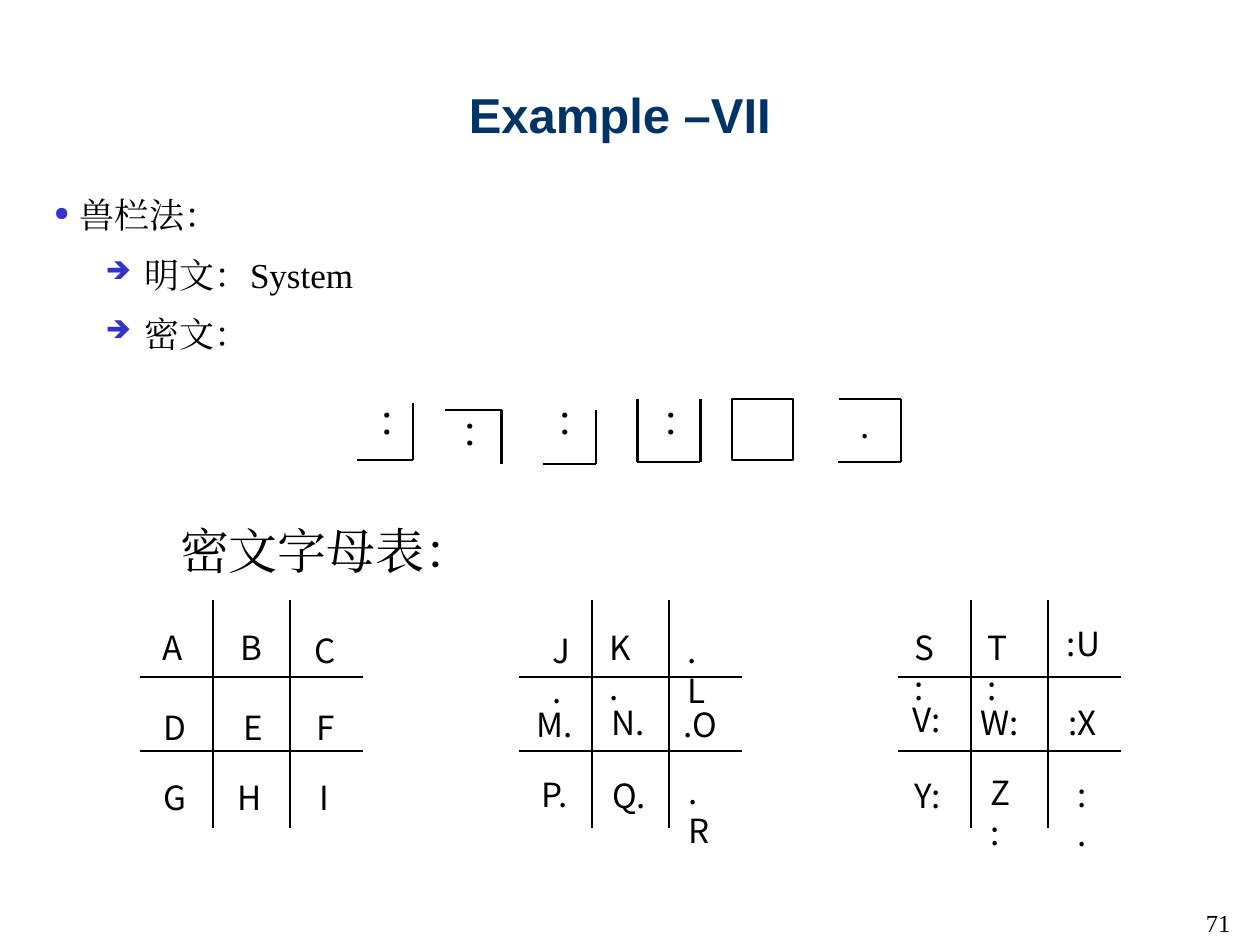
from itertools import pairwise

from lxml import etree
from pptx import Presentation
from pptx.dml.color import RGBColor
from pptx.enum.shapes import MSO_CONNECTOR, MSO_SHAPE
from pptx.enum.text import MSO_ANCHOR, PP_ALIGN
from pptx.oxml.ns import qn
from pptx.util import Cm, Pt

STRAIGHT, RECT = MSO_CONNECTOR.STRAIGHT, MSO_SHAPE.RECTANGLE
TOP, MIDDLE = MSO_ANCHOR.TOP, MSO_ANCHOR.MIDDLE
LEFT, CENTER, JUSTIFY = PP_ALIGN.LEFT, PP_ALIGN.CENTER, PP_ALIGN.JUSTIFY
COLORS = {"text": "000000", "title": "003366", "bullet": "3333CC", "shadow": "808080"}
SERIF, SANS, CJK = "Times New Roman", "Arial", "Noto Sans CJK SC"
LINE_WIDTH = Pt(1.25)

# Text, level, bullet, bullet size in %, left indent and hanging indent in cm
OUTLINE = [
    ("兽栏法：", 0, "●", 55, 0.51, 0.51),
    ("明文：System", 1, "➔", 70, 1.83, 0.79),
    ("密文：", 1, "➔", 70, 1.83, 0.79),
]
CIPHER_STROKES = [
    [(8.33, 8.13), (8.33, 9.27), (7.19, 9.27)],
    [(8.97, 8.26), (10.11, 8.26), (10.11, 9.35)],
    [(12.01, 8.26), (12.01, 9.36), (10.95, 9.36)],
    [(12.85, 8.05), (12.85, 9.32), (14.12, 9.32), (14.12, 8.05)],
    [(16.92, 8.05), (18.16, 8.05), (18.16, 9.32), (16.89, 9.32)],
]
CIPHER_COLONS = [(7.37, 7.82), (9.04, 8.05), (10.95, 7.82), (13.08, 7.82)]
LETTERS = [
    ("A", 3.28, 12.65), ("B", 4.85, 12.65), ("C", 6.35, 12.7),
    ("D", 3.3, 14.25), ("E", 4.9, 14.25), ("F", 6.38, 14.25),
    ("G", 3.3, 15.67), ("H", 4.78, 15.67), ("I", 6.45, 15.67),
    ("J.", 11.13, 12.7), ("K.", 12.29, 12.65), (".L", 13.87, 12.7),
    ("M.", 10.82, 14.2), ("N.", 12.32, 14.15), (".O", 13.77, 14.2),
    ("P.", 10.92, 15.6), ("Q.", 12.34, 15.62), (".R", 13.89, 15.54),
    ("S:", 18.44, 12.65), ("T:", 19.91, 12.65), (":U", 21.51, 12.57),
    ("V:", 18.39, 14.1), ("W:", 19.76, 14.15), (":X", 21.54, 14.15),
    ("Y:", 18.44, 15.62), ("Z:", 19.96, 15.57), (":.", 21.72, 15.6),
]
STACKED = {"J.", "K.", ".L", ".R", "S:", "T:", "Z:", ":."}


def rgb(name):
    return RGBColor.from_string(COLORS[name])


def add_run(p, text, *, size, font=SERIF, color="text", bold=False):
    r = p.add_run()
    r.text = text
    r.font.size, r.font.name, r.font.bold = Pt(size), font, bold
    r.font.color.rgb = rgb(color)
    etree.SubElement(r.font._element, qn("a:ea"), typeface=font)
    return r


def add_frame(slide, x, y, w, h, *, inset=(0.25, 0.13), anchor=TOP):
    tf = slide.shapes.add_textbox(Cm(x), Cm(y), Cm(w), Cm(h)).text_frame
    tf.word_wrap, tf.vertical_anchor = True, anchor
    tf.margin_left = tf.margin_right = Cm(inset[0])
    tf.margin_top = tf.margin_bottom = Cm(inset[1])
    return tf


def add_text(slide, text, x, y, w, h, *, align=LEFT, inset=(0.25, 0.13),
             anchor=TOP, spacing=None, **style):
    p = add_frame(slide, x, y, w, h, inset=inset, anchor=anchor).paragraphs[0]
    p.alignment, p.line_spacing = align, spacing
    return add_run(p, text, **style)


def add_text_shadow(r):
    effects = etree.Element(qn("a:effectLst"))
    shadow = etree.SubElement(effects, qn("a:outerShdw"), dist="25400", dir="2700000")
    etree.SubElement(shadow, qn("a:srgbClr"), val=COLORS["shadow"])
    r.font._element.find(qn("a:latin")).addprevious(effects)


def add_bullet(p, char, percent, left, hanging):
    pPr = p._p.get_or_add_pPr()
    pPr.set("marL", str(Cm(left)))
    pPr.set("indent", str(-Cm(hanging)))
    color = etree.SubElement(pPr, qn("a:buClr"))
    etree.SubElement(color, qn("a:srgbClr"), val=COLORS["bullet"])
    etree.SubElement(pPr, qn("a:buSzPct"), val=str(percent * 1000))
    etree.SubElement(pPr, qn("a:buChar"), char=char)


def add_outline(slide):
    tf = add_frame(slide, 0.84, 3.61, 23.7, 14.6)
    for i, (text, level, *bullet) in enumerate(OUTLINE):
        p = tf.add_paragraph() if i else tf.paragraphs[0]
        p.level, p.alignment, p.line_spacing = level, JUSTIFY, 1.2
        p.space_before = Pt(5 if i else 0)
        add_bullet(p, *bullet)
        add_run(p, text, size=20)


def add_path(slide, points):
    """Join the points with straight lines."""
    for (x1, y1), (x2, y2) in pairwise(points):
        line = slide.shapes.add_connector(STRAIGHT, Cm(x1), Cm(y1), Cm(x2), Cm(y2))
        line.line.width, line.line.color.rgb = LINE_WIDTH, rgb("text")
        etree.SubElement(line._element.spPr, qn("a:effectLst"))


def add_square(slide, x, y, side):
    sp = slide.shapes.add_shape(RECT, Cm(x), Cm(y), Cm(side), Cm(side))
    sp.shadow.inherit = False
    sp.fill.background()
    sp.line.width, sp.line.color.rgb = LINE_WIDTH, rgb("text")


def add_ciphertext(slide):
    for points in CIPHER_STROKES:
        add_path(slide, points)
    add_square(slide, 14.76, 8.05, 1.22)
    for x, y in CIPHER_COLONS:
        add_text(slide, "：", x, y, 0.84, 1.27, size=24)
    add_text(slide, ".", 17.09, 8.05, 0.84, 1.07, size=19, font=CJK)


def add_alphabet(slide):
    for grid in range(3):
        x = 2.82 + 7.64 * grid
        for y in (13.65, 15.14):
            add_path(slide, [(x, y), (x + 4.5, y)])
        for dx in (1.47, 3.02):
            add_path(slide, [(x + dx, 12.1), (x + dx, 16.7)])
    for text, x, y in LETTERS:
        width = 0.35 if text in STACKED else 0.9
        add_text(slide, text, x, y, width, 0.81, inset=(0, 0), size=19, font=CJK)


def main():
    prs = Presentation()
    prs.slide_width, prs.slide_height = Cm(25.4), Cm(19.05)
    slide = prs.slides.add_slide(prs.slide_layouts[6])
    add_text(slide, "71", 24.31, 18.31, 0.84, 0.58, inset=(0, 0), size=14)
    title = add_text(slide, "Example –VII", 1.7, 0.71, 21.59, 3.18, align=CENTER,
                     anchor=MIDDLE, size=28, font=SANS, color="title", bold=True)
    add_text_shadow(title)
    add_outline(slide)
    add_ciphertext(slide)
    add_text(slide, "密文字母表：", 3.38, 10.36, 6.55, 1.45, size=28)
    add_alphabet(slide)
    prs.save("out.pptx")


if __name__ == "__main__":
    main()
